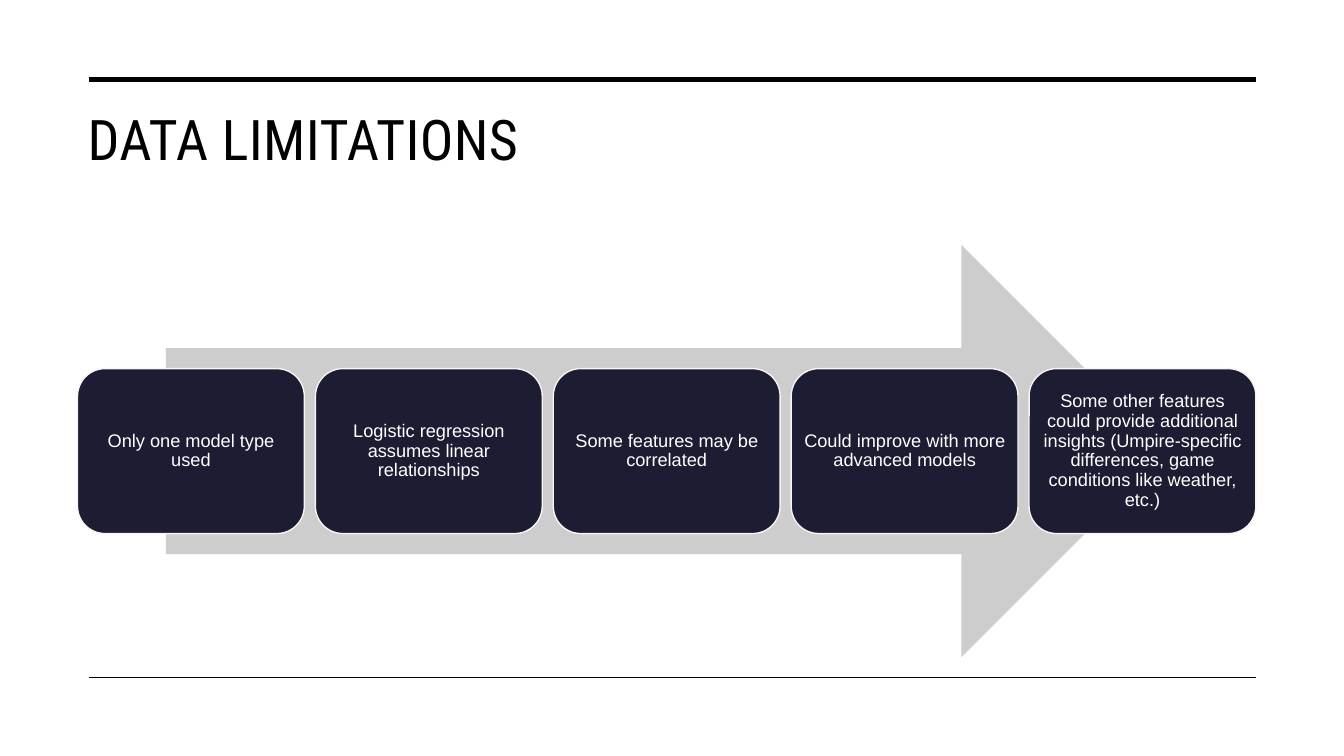
import pptx
import pptx.dml.color
import pptx.enum.shapes
import pptx.enum.text
import pptx.oxml
import pptx.oxml.ns
import pptx.util

Pt = pptx.util.Pt
RGBColor = pptx.dml.color.RGBColor
SHAPES = pptx.enum.shapes.MSO_SHAPE
ALIGN = pptx.enum.text.PP_ALIGN
ANCHOR = pptx.enum.text.MSO_ANCHOR

BLACK = RGBColor(0x00, 0x00, 0x00)
WHITE = RGBColor(0xFF, 0xFF, 0xFF)
GREY = RGBColor(0xCD, 0xCD, 0xCE)
NAVY = RGBColor(0x1C, 0x1C, 0x32)
CREAM = RGBColor(0xF8, 0xF4, 0xF1)

LIMITATIONS = [
    "Only one model type used",
    "Logistic regression assumes linear relationships",
    "Some features may be correlated",
    "Could improve with more advanced models",
    "Some other features could provide additional insights "
    "(Umpire-specific differences, game conditions like weather, etc.)",
]


def write_text(shape, text, *, font, size, color, align, anchor,
               inset_x=3.6, inset_y=3.6, line_spacing=1.0, tracking=0):
    frame = shape.text_frame
    frame.word_wrap = True
    frame.auto_size = pptx.enum.text.MSO_AUTO_SIZE.NONE
    frame.vertical_anchor = anchor
    frame.margin_left = frame.margin_right = Pt(inset_x)
    frame.margin_top = frame.margin_bottom = Pt(inset_y)
    para = frame.paragraphs[0]
    para.alignment = align
    para.line_spacing = line_spacing
    span = para.add_run()
    span.text = text
    span.font.name = font
    span.font.size = Pt(size)
    span.font.color.rgb = color
    if tracking:
        span.font._element.set("spc", str(round(tracking * 100)))


def add_title(page, left, top, width, height):
    title = page.shapes.title
    title.left, title.top = Pt(left), Pt(top)
    title.width, title.height = Pt(width), Pt(height)
    write_text(title, "DATA LIMITATIONS", font="Roboto Condensed", size=40,
               color=BLACK, align=ALIGN.LEFT, anchor=ANCHOR.TOP,
               inset_x=7.2, tracking=0.3)


def add_rule(page, left, top, width, weight):
    rule = page.shapes.add_connector(
        pptx.enum.shapes.MSO_CONNECTOR.STRAIGHT,
        Pt(left), Pt(top), Pt(left + width), Pt(top))
    rule.line.color.rgb = BLACK
    rule.line.width = Pt(weight)
    rule._element.spPr.append(pptx.oxml.parse_xml(
        "<a:effectLst %s/>" % pptx.oxml.ns.nsdecls("a")))


def add_block(group, kind, left, top, width, height, fill):
    block = group.shapes.add_shape(kind, Pt(left), Pt(top), Pt(width), Pt(height))
    block.shadow.inherit = False
    block.fill.solid()
    block.fill.fore_color.rgb = fill
    block.line.fill.background()
    return block


def add_process(page, left, top, width, height):
    group = page.shapes.add_group_shape()

    # Arrow behind the cards, 85% of the width
    arrow_width = width * 0.85
    add_block(group, SHAPES.RIGHT_ARROW, left + (width - arrow_width) / 2, top,
              arrow_width, height, GREY)

    # Evenly spaced cards, 40% of the height
    gap = 7.9
    count = len(LIMITATIONS)
    card_width = (width - gap * (count - 1)) / count
    card_height = height * 0.4
    card_top = top + (height - card_height) / 2
    for index, limitation in enumerate(LIMITATIONS):
        card = add_block(group, SHAPES.ROUNDED_RECTANGLE,
                         left + index * (card_width + gap), card_top,
                         card_width, card_height, NAVY)
        card.line.color.rgb = CREAM
        card.line.width = Pt(1)
        write_text(card, limitation, font="Arial", size=13, color=WHITE,
                   align=ALIGN.CENTER, anchor=ANCHOR.MIDDLE, line_spacing=0.9)


def main():
    deck = pptx.Presentation()
    deck.slide_width, deck.slide_height = Pt(960), Pt(540)
    page = deck.slides.add_slide(deck.slide_layouts[5])

    # Title
    add_title(page, 55.4, 71.3, 841.7, 90.7)
    # Top and bottom rules
    add_rule(page, 63.4, 56.9, 833.8, 3.5)
    add_rule(page, 63.4, 483.8, 833.8, 1)
    # Arrow with limitation cards
    add_process(page, 55.4, 175, 841.7, 294.5)

    deck.save("out.pptx")


if __name__ == "__main__":
    main()
